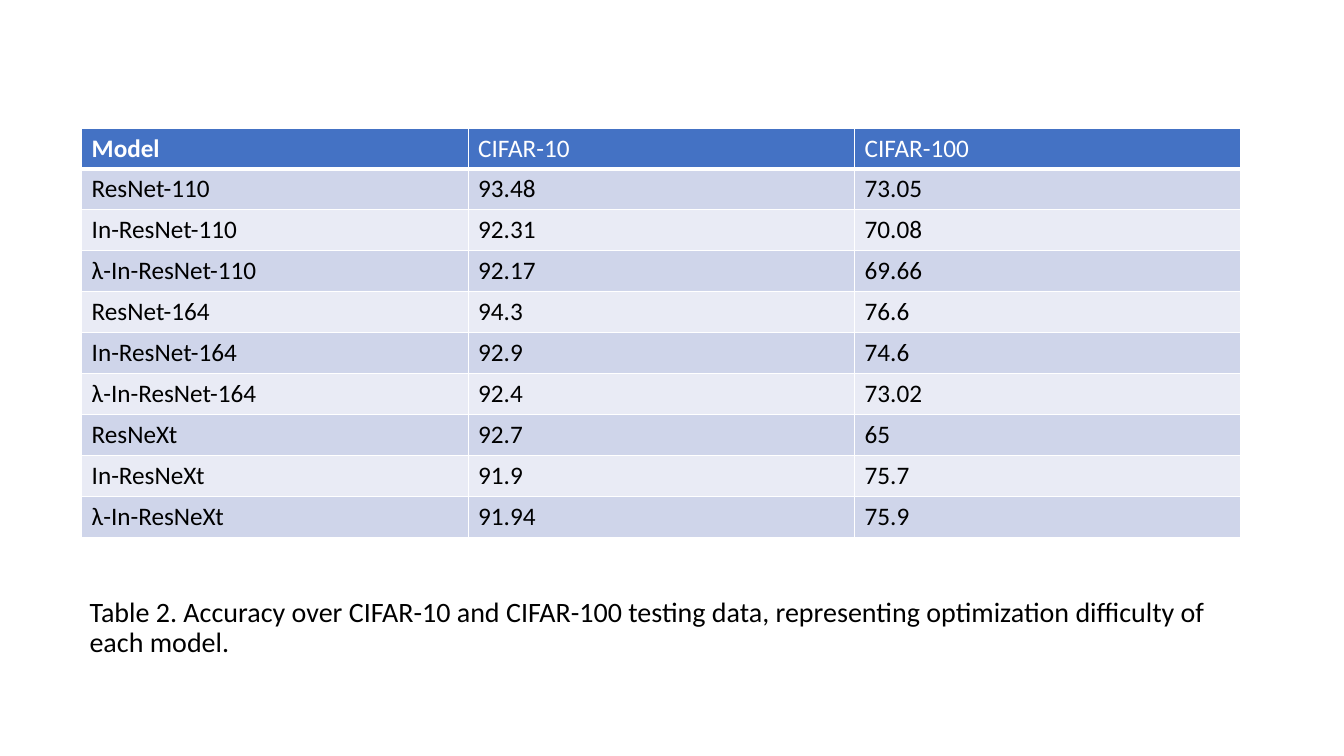
from lxml import etree
from pptx import Presentation
from pptx.dml.color import RGBColor
from pptx.enum.text import MSO_ANCHOR
from pptx.oxml.ns import qn
from pptx.util import Inches, Pt

MIDDLE = MSO_ANCHOR.MIDDLE
FONT = "Calibri"
WHITE, BLACK, BLUE = "FFFFFF", "000000", "4472C4"
BANDS = ("CFD5EA", "E9EBF5")
HEAD = ("Model", "CIFAR-10", "CIFAR-100")
SCORES = (
    ("ResNet-110", "93.48", "73.05"),
    ("In-ResNet-110", "92.31", "70.08"),
    ("λ-In-ResNet-110", "92.17", "69.66"),
    ("ResNet-164", "94.3", "76.6"),
    ("In-ResNet-164", "92.9", "74.6"),
    ("λ-In-ResNet-164", "92.4", "73.02"),
    ("ResNeXt", "92.7", "65"),
    ("In-ResNeXt", "91.9", "75.7"),
    ("λ-In-ResNeXt", "91.94", "75.9"),
)
CAPTION = ("Table 2. Accuracy over CIFAR-10 and CIFAR-100 testing data, "
           "representing optimization difficulty of each model.")


def color(code):
    """Turn a hex string into a colour."""
    return RGBColor.from_string(code)


def write(frame, text, size=18, ink=BLACK, bold=False, space=None):
    """Put formatted text in the first paragraph of a frame."""
    para = frame.paragraphs[0]
    para.line_spacing = space
    run = para.add_run()
    run.text = text
    font = run.font
    font.name, font.size, font.bold = FONT, Pt(size), bold
    font.color.rgb = color(ink)


def border(cell, **widths):
    """Draw white cell borders with the given widths in points."""
    props = cell._tc.get_or_add_tcPr()
    for side in "LRTB":
        line = etree.SubElement(props, qn(f"a:ln{side}"),
                                w=str(Pt(widths.get(side, 1))))
        fill = etree.SubElement(line, qn("a:solidFill"))
        etree.SubElement(fill, qn("a:srgbClr"), val=WHITE)


def add_scores(slide, left, top, width, height):
    """Fill the box with the banded accuracy table."""
    rows = (HEAD, *SCORES)
    box = [Inches(v) for v in (left, top, width, height)]
    table = slide.shapes.add_table(len(rows), len(HEAD), *box).table
    for r, row in enumerate(rows):
        for c, text in enumerate(row):
            cell = table.cell(r, c)
            border(cell, T=3 if r == 1 else 1, B=1 if r else 3)
            cell.fill.solid()
            cell.fill.fore_color.rgb = color(BANDS[(r - 1) % 2] if r else BLUE)
            write(cell.text_frame, text, ink=BLACK if r else WHITE,
                  bold=r == c == 0)


def add_caption(slide, left, top, width, height):
    """Centre the caption vertically in the box."""
    box = [Inches(v) for v in (left, top, width, height)]
    frame = slide.shapes.add_textbox(*box).text_frame
    frame.word_wrap = True
    frame.vertical_anchor = MIDDLE
    write(frame, CAPTION, size=20, space=0.9)


def main():
    """Build and save the slide."""
    deck = Presentation()
    deck.slide_width, deck.slide_height = Inches(13.33), Inches(7.5)
    slide = deck.slides.add_slide(deck.slide_layouts[6])
    add_caption(slide, 0.79, 5.51, 11.5, 1.45)
    add_scores(slide, 0.81, 1.27, 11.5, 4.06)
    deck.save("out.pptx")


if __name__ == "__main__":
    main()
